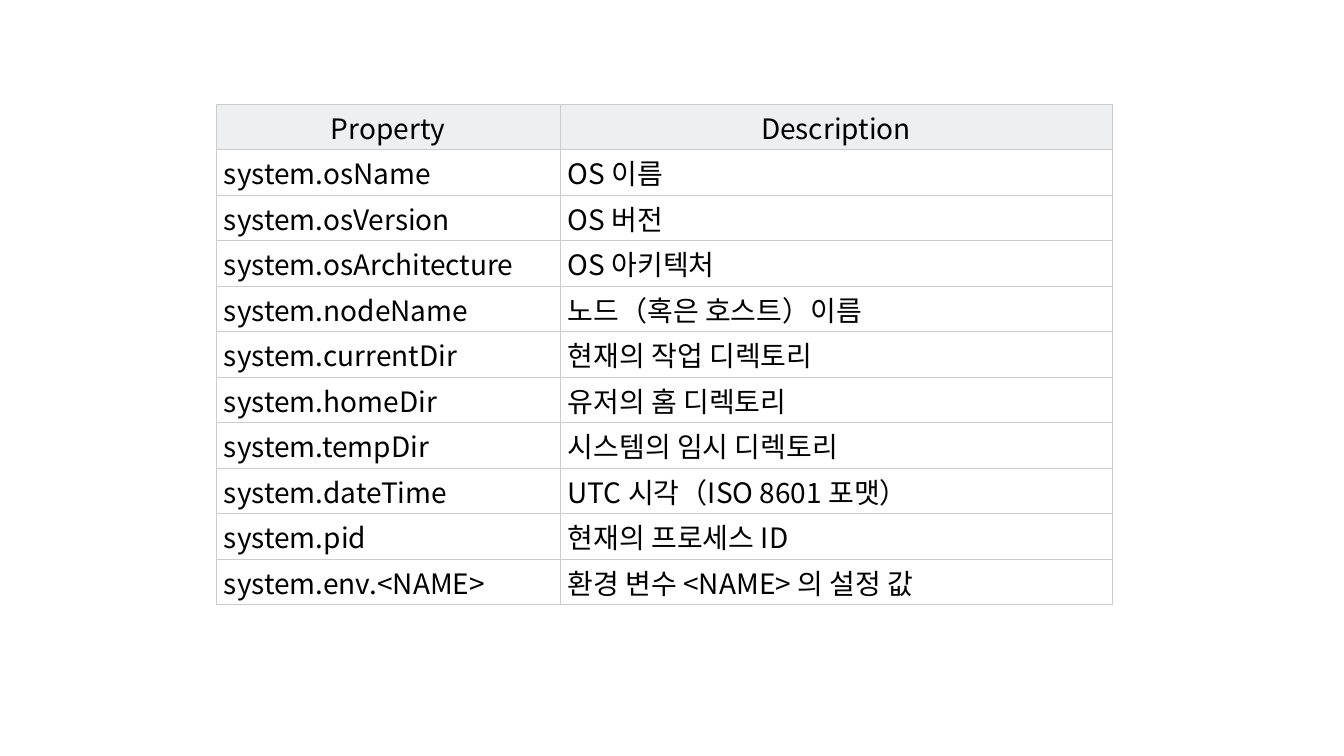
from dataclasses import dataclass

from lxml import etree
from pptx import Presentation, util as u
from pptx.dml.color import RGBColor
from pptx.enum import text
from pptx.oxml import ns

PX = 6350  # EMU per px, 144 px to the inch
FONT = "Noto Sans CJK KR"
COLORS = {"text": "000000", "border": "CCCCCC", "header": "EDEFF0", "body": "FFFFFF"}
BORDER_WIDTH = u.Pt(0.6)

LEFT, TOP = 309, 149
COLUMN_WIDTHS = (491, 789)
ROW_HEIGHT = 65
CELL_FORMAT = {
    "margin_left": 11 * PX,
    "margin_right": 11 * PX,
    "margin_top": 3 * PX,
    "margin_bottom": 3 * PX,
    "vertical_anchor": text.MSO_ANCHOR.MIDDLE,
}
FONT_FORMAT = {"name": FONT, "size": u.Pt(20), "bold": False}


@dataclass(frozen=True)
class PropertyRow:
    name: str
    description: str
    fill: str = "body"
    alignment: text.PP_ALIGN = text.PP_ALIGN.LEFT


ROWS = [
    PropertyRow("Property", "Description", "header", text.PP_ALIGN.CENTER),
    PropertyRow("system.osName", "OS 이름"),
    PropertyRow("system.osVersion", "OS 버전"),
    PropertyRow("system.osArchitecture", "OS 아키텍처"),
    PropertyRow("system.nodeName", "노드（혹은 호스트）이름"),
    PropertyRow("system.currentDir", "현재의 작업 디렉토리"),
    PropertyRow("system.homeDir", "유저의 홈 디렉토리"),
    PropertyRow("system.tempDir", "시스템의 임시 디렉토리"),
    PropertyRow("system.dateTime", "UTC 시각（ISO 8601 포맷）"),
    PropertyRow("system.pid", "현재의 프로세스 ID"),
    PropertyRow("system.env.<NAME>", "환경 변수 <NAME> 의 설정 값"),
]


def apply_format(target, values: dict) -> None:
    for attribute, value in values.items():
        setattr(target, attribute, value)


def add_borders(cell) -> None:
    """Draw all four borders; they must come before the cell fill."""
    properties = cell._tc.get_or_add_tcPr()
    for side in ("lnL", "lnR", "lnT", "lnB"):
        line = etree.SubElement(properties, ns.qn(f"a:{side}"), w=str(int(BORDER_WIDTH)))
        fill = etree.SubElement(line, ns.qn("a:solidFill"))
        etree.SubElement(fill, ns.qn("a:srgbClr"), val=COLORS["border"])


def fill_cell(cell, content: str, row: PropertyRow) -> None:
    apply_format(cell, CELL_FORMAT)
    add_borders(cell)
    cell.fill.solid()
    cell.fill.fore_color.rgb = RGBColor.from_string(COLORS[row.fill])

    paragraph = cell.text_frame.paragraphs[0]
    paragraph.alignment = row.alignment
    run = paragraph.add_run()
    run.text = content
    apply_format(run.font, FONT_FORMAT)
    run.font.color.rgb = RGBColor.from_string(COLORS["text"])
    # Korean glyphs take the East Asian typeface
    etree.SubElement(run._r.get_or_add_rPr(), ns.qn("a:ea"), typeface=FONT)


def add_property_table(slide, rows: list[PropertyRow]) -> None:
    frame = slide.shapes.add_table(
        len(rows), len(COLUMN_WIDTHS), LEFT * PX, TOP * PX,
        sum(COLUMN_WIDTHS) * PX, len(rows) * ROW_HEIGHT * PX,
    )
    table = frame.table
    table.horz_banding = False
    for column, width in zip(table.columns, COLUMN_WIDTHS):
        column.width = width * PX
    for table_row, row in zip(table.rows, rows):
        table_row.height = ROW_HEIGHT * PX
        for cell, content in zip(table_row.cells, (row.name, row.description)):
            fill_cell(cell, content, row)


def main() -> None:
    presentation = Presentation()
    presentation.slide_width, presentation.slide_height = 1920 * PX, 1080 * PX
    slide = presentation.slides.add_slide(presentation.slide_layouts[6])
    add_property_table(slide, ROWS)
    presentation.save("out.pptx")


if __name__ == "__main__":
    main()
